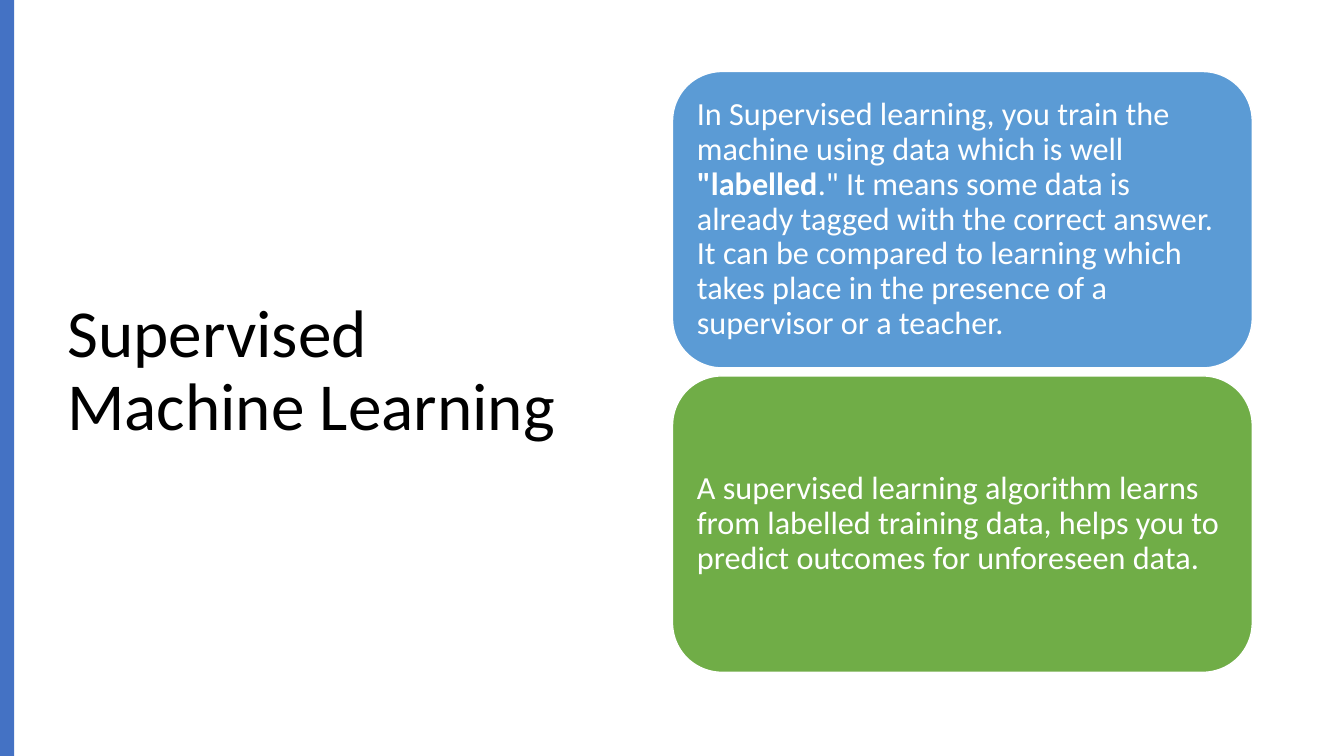
from dataclasses import dataclass

import pptx
import pptx.dml.color
import pptx.enum.shapes
import pptx.enum.text
import pptx.util
from pptx.util import Inches

FONT = "Calibri"
CARD_LEFT, CARD_TOP, CARD_WIDTH, CARD_HEIGHT = 6.67, 0.71, 5.75, 2.94
CARD_STEP = 3.02


@dataclass
class Run:
    text: str
    bold: bool = False


@dataclass
class Card:
    fill: str
    runs: list[Run]


CARDS = [
    Card("5B9BD5", [
        Run("In Supervised learning, you train the machine using data which is well "),
        Run('"labelled', True),
        Run('." It means some data is already tagged with the correct answer. '
            "It can be compared to learning which takes place in the presence "
            "of a supervisor or a teacher."),
    ]),
    Card("70AD47", [
        Run("A supervised learning algorithm learns from labelled training data, "
            "helps you to predict outcomes for unforeseen data."),
    ]),
]


def rgb(value: str) -> pptx.dml.color.RGBColor:
    return pptx.dml.color.RGBColor.from_string(value)


def write(sp, runs: list[Run], size: float, color: str) -> None:
    tf = sp.text_frame
    tf.word_wrap = True
    tf.vertical_anchor = pptx.enum.text.MSO_ANCHOR.MIDDLE
    p = tf.paragraphs[0]
    p.alignment = pptx.enum.text.PP_ALIGN.LEFT
    p.line_spacing = 0.9
    for run in runs:
        r = p.add_run()
        r.text = run.text
        r.font.name = FONT
        r.font.size = pptx.util.Pt(size)
        r.font.bold = run.bold
        r.font.color.rgb = rgb(color)


def add_block(s, kind, left: float, top: float, width: float, height: float, fill: str):
    sp = s.shapes.add_shape(kind, Inches(left), Inches(top), Inches(width), Inches(height))
    sp.shadow.inherit = False
    sp.fill.solid()
    sp.fill.fore_color.rgb = rgb(fill)
    sp.line.fill.background()
    return sp


def add_card(s, card: Card, top: float) -> None:
    sp = add_block(s, pptx.enum.shapes.MSO_SHAPE.ROUNDED_RECTANGLE,
                   CARD_LEFT, top, CARD_WIDTH, CARD_HEIGHT, card.fill)
    sp.line.color.rgb = rgb("FFFFFF")
    sp.line.width = pptx.util.Pt(1)
    tf = sp.text_frame
    tf.margin_left = tf.margin_right = tf.margin_top = tf.margin_bottom = Inches(0.1)
    write(sp, card.runs, 23, "FFFFFF")


def main() -> None:
    prs = pptx.Presentation()
    prs.slide_width, prs.slide_height = Inches(13.33), Inches(7.5)
    s = prs.slides.add_slide(prs.slide_layouts[6])
    title = s.shapes.add_textbox(Inches(0.57), Inches(0.68), Inches(5.67), Inches(6.02))
    write(title, [Run("Supervised Machine Learning")], 48, "000000")
    add_block(s, pptx.enum.shapes.MSO_SHAPE.RECTANGLE, 0, 0, 0.14, 7.5, "4472C4")
    for i, card in enumerate(CARDS):
        add_card(s, card, CARD_TOP + i * CARD_STEP)
    prs.save("out.pptx")


if __name__ == "__main__":
    main()
